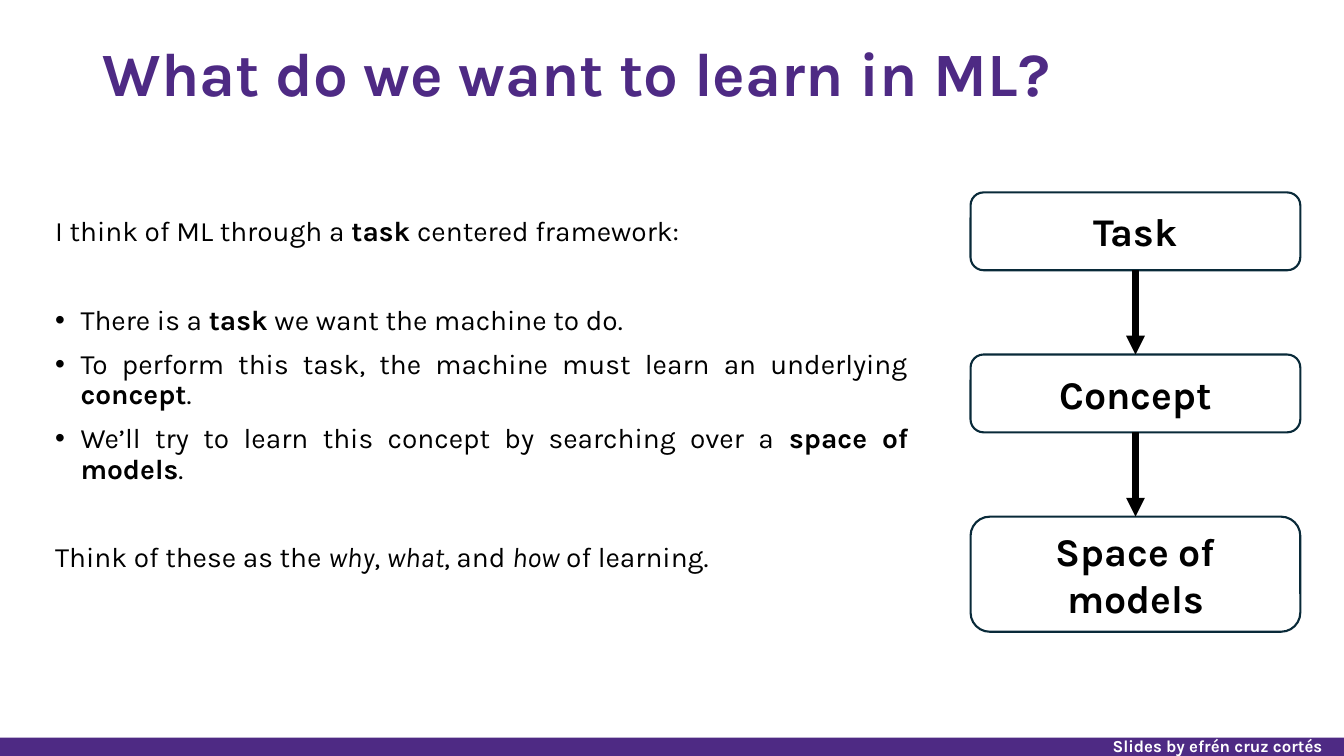
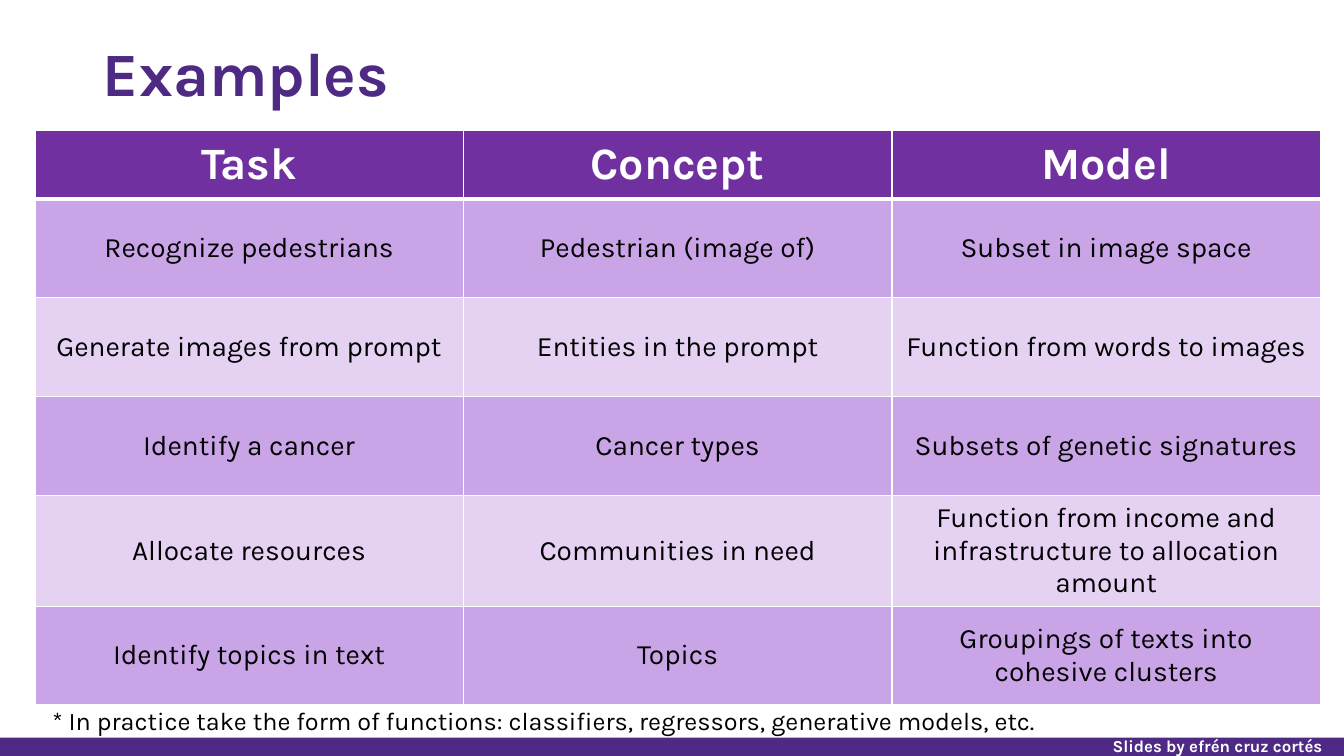
from itertools import pairwise

from lxml import etree
from pptx import Presentation
from pptx.dml.color import RGBColor
from pptx.enum import shapes, text
from pptx.oxml import ns
from pptx.util import Cm, Pt

COLOURS = {
    "brand": "4E2A84",
    "header": "7030A0",
    "row_dark": "C9A4E6",
    "row_light": "E5D2F3",
    "outline": "092A39",
    "black": "000000",
    "white": "FFFFFF",
}
FONT = "Karla"
PAGE_WIDTH, PAGE_HEIGHT = 33.87, 19.05
ALIGN = text.PP_ALIGN
MIDDLE = text.MSO_ANCHOR.MIDDLE

# Each starred stretch is emphasised: (text, emphasis, bulleted, space before)
TASK_LINES = [
    ("I think of ML through a *task* centered framework:", "bold", False, 0),
    ("There is a *task* we want the machine to do.", "bold", True, 41.5),
    ("To perform this task, the machine must learn an underlying *concept*.",
     "bold", True, 10),
    ("We’ll try to learn this concept by searching over a *space of models*.",
     "bold", True, 10),
    ("Think of these as the *why*, *what*, and *how* of learning.",
     "italic", False, 41.5),
]
# Flow steps: (label, height in cm)
FLOW_STEPS = [("Task", 1.96), ("Concept", 1.96), ("Space of models", 2.9)]
EXAMPLES = [
    ("Task", "Concept", "Model"),
    ("Recognize pedestrians", "Pedestrian (image of)", "Subset in image space"),
    ("Generate images from prompt", "Entities in the prompt",
     "Function from words to images"),
    ("Identify a cancer", "Cancer types", "Subsets of genetic signatures"),
    ("Allocate resources", "Communities in need",
     "Function from income and infrastructure to allocation amount"),
    ("Identify topics in text", "Topics",
     "Groupings of texts into cohesive clusters"),
]


def colour(name):
    return RGBColor.from_string(COLOURS[name])


def add_xml(parent, tag, **attributes):
    return etree.SubElement(parent, ns.qn(tag), attributes)


def style_span(span, size, ink="black", bold=False):
    span.font.name = FONT
    span.font.size = Pt(size)
    span.font.bold = bold
    span.font.color.rgb = colour(ink)


def write(frame, words, size, ink="black", bold=False, align=ALIGN.LEFT):
    frame.text = words
    frame.word_wrap = True
    para = frame.paragraphs[0]
    para.alignment = align
    style_span(para.runs[0], size, ink, bold)


def add_text_box(page, left, top, width, height):
    box = page.shapes.add_textbox(Cm(left), Cm(top), Cm(width), Cm(height))
    box.text_frame.word_wrap = True
    return box.text_frame


def add_page(deck, title):
    """Start a page with the shared title and footer."""
    page = deck.slides.add_slide(deck.slide_layouts[5])

    # Footer band and credit
    band_height = 0.46
    band = page.shapes.add_shape(
        shapes.MSO_SHAPE.RECTANGLE, 0, Cm(PAGE_HEIGHT - band_height),
        Cm(PAGE_WIDTH), Cm(band_height))
    band.shadow.inherit = False
    band.fill.solid()
    band.fill.fore_color.rgb = colour("brand")
    band.line.fill.background()
    credit = add_text_box(page, 27.56, 18.42, 6.25, 0.76)
    credit.vertical_anchor = text.MSO_ANCHOR.BOTTOM
    write(credit, "Slides by efrén cruz cortés", 12, "white", True, ALIGN.CENTER)

    # Title
    heading = page.shapes.title
    heading.left, heading.top = Cm(2.34), Cm(0.69)
    heading.width, heading.height = Cm(29.21), Cm(2.49)
    frame = heading.text_frame
    frame.auto_size = text.MSO_AUTO_SIZE.NONE
    frame.vertical_anchor = MIDDLE
    write(frame, title, 44, "brand", True)
    frame.paragraphs[0].line_spacing = 0.9
    return page


def add_task_text(page, left, top, width, height):
    frame = add_text_box(page, left, top, width, height)
    for index, (words, emphasis, bulleted, gap) in enumerate(TASK_LINES):
        para = frame.add_paragraph() if index else frame.paragraphs[0]
        para.alignment = ALIGN.JUSTIFY
        para.line_spacing = 0.9
        para.space_before = Pt(gap)
        if bulleted:
            indent = Cm(0.64)
            properties = para._p.get_or_add_pPr()
            properties.set("marL", str(indent))
            properties.set("indent", str(-indent))
            add_xml(properties, "a:buFont", typeface="Arial")
            add_xml(properties, "a:buChar", char="•")
        for part, piece in enumerate(words.split("*")):
            span = para.add_run()
            span.text = piece
            style_span(span, 20)
            setattr(span.font, emphasis, part % 2 == 1)


def add_arrow(page, above, below):
    arrow = page.shapes.add_connector(
        shapes.MSO_CONNECTOR.STRAIGHT, 0, 0, 0, 0)
    arrow.begin_connect(above, 2)
    arrow.end_connect(below, 0)
    arrow.line.color.rgb = colour("black")
    arrow.line.width = Pt(4.5)
    add_xml(arrow.line._get_or_add_ln(), "a:tailEnd", type="triangle")
    add_xml(arrow._element.spPr, "a:effectLst")


def add_flow(page, left, top, width, height):
    """Stack the steps with equal gaps and join them with arrows."""
    used = sum(step_height for _, step_height in FLOW_STEPS)
    gap = (height - used) / (len(FLOW_STEPS) - 1)
    steps = []
    for label, step_height in FLOW_STEPS:
        step = page.shapes.add_shape(
            shapes.MSO_SHAPE.ROUNDED_RECTANGLE,
            Cm(left), Cm(top), Cm(width), Cm(step_height))
        step.shadow.inherit = False
        step.fill.background()
        step.line.color.rgb = colour("outline")
        step.line.width = Pt(1.5)
        step.text_frame.vertical_anchor = MIDDLE
        write(step.text_frame, label, 28, bold=True, align=ALIGN.CENTER)
        steps.append(step)
        top += step_height + gap
    for above, below in pairwise(steps):
        add_arrow(page, above, below)


def set_borders(cell, top_width, bottom_width):
    properties = cell._tc.get_or_add_tcPr()
    widths = {"a:lnL": 1, "a:lnR": 1, "a:lnT": top_width, "a:lnB": bottom_width}
    for tag, width in widths.items():
        line = add_xml(properties, tag, w=str(Pt(width)))
        add_xml(add_xml(line, "a:solidFill"), "a:srgbClr", val=COLOURS["white"])


def add_examples_table(page, left, top, width, header_height, row_height):
    row_count, column_count = len(EXAMPLES), len(EXAMPLES[0])
    height = header_height + row_height * (row_count - 1)
    table = page.shapes.add_table(
        row_count, column_count, Cm(left), Cm(top), Cm(width), Cm(height)).table
    for column in table.columns:
        column.width = Cm(width / column_count)
    for index, labels in enumerate(EXAMPLES):
        is_header = index == 0
        table.rows[index].height = Cm(header_height if is_header else row_height)
        shade = "header" if is_header else ("row_light", "row_dark")[index % 2]
        for column, label in enumerate(labels):
            cell = table.cell(index, column)
            set_borders(cell, 3 if index == 1 else 1, 3 if is_header else 1)
            cell.fill.solid()
            cell.fill.fore_color.rgb = colour(shade)
            cell.vertical_anchor = MIDDLE
            write(cell.text_frame, label, 32 if is_header else 20,
                  "white" if is_header else "black", is_header, ALIGN.CENTER)


def build_learning_page(deck):
    page = add_page(deck, "What do we want to learn in ML?")
    add_task_text(page, 1.14, 5.36, 22, 12.4)
    add_flow(page, 24.46, 4.85, 8.31, 11.07)


def build_examples_page(deck):
    page = add_page(deck, "Examples")
    add_examples_table(page, 0.88, 3.28, 32.4, 1.73, 2.49)
    note = add_text_box(page, 1.07, 17.65, 27.66, 1.02)
    write(note, "* In practice take the form of functions: classifiers, "
                "regressors, generative models, etc.", 18)


def main():
    deck = Presentation()
    deck.slide_width, deck.slide_height = Cm(PAGE_WIDTH), Cm(PAGE_HEIGHT)
    build_learning_page(deck)
    build_examples_page(deck)
    deck.save("out.pptx")


if __name__ == "__main__":
    main()
